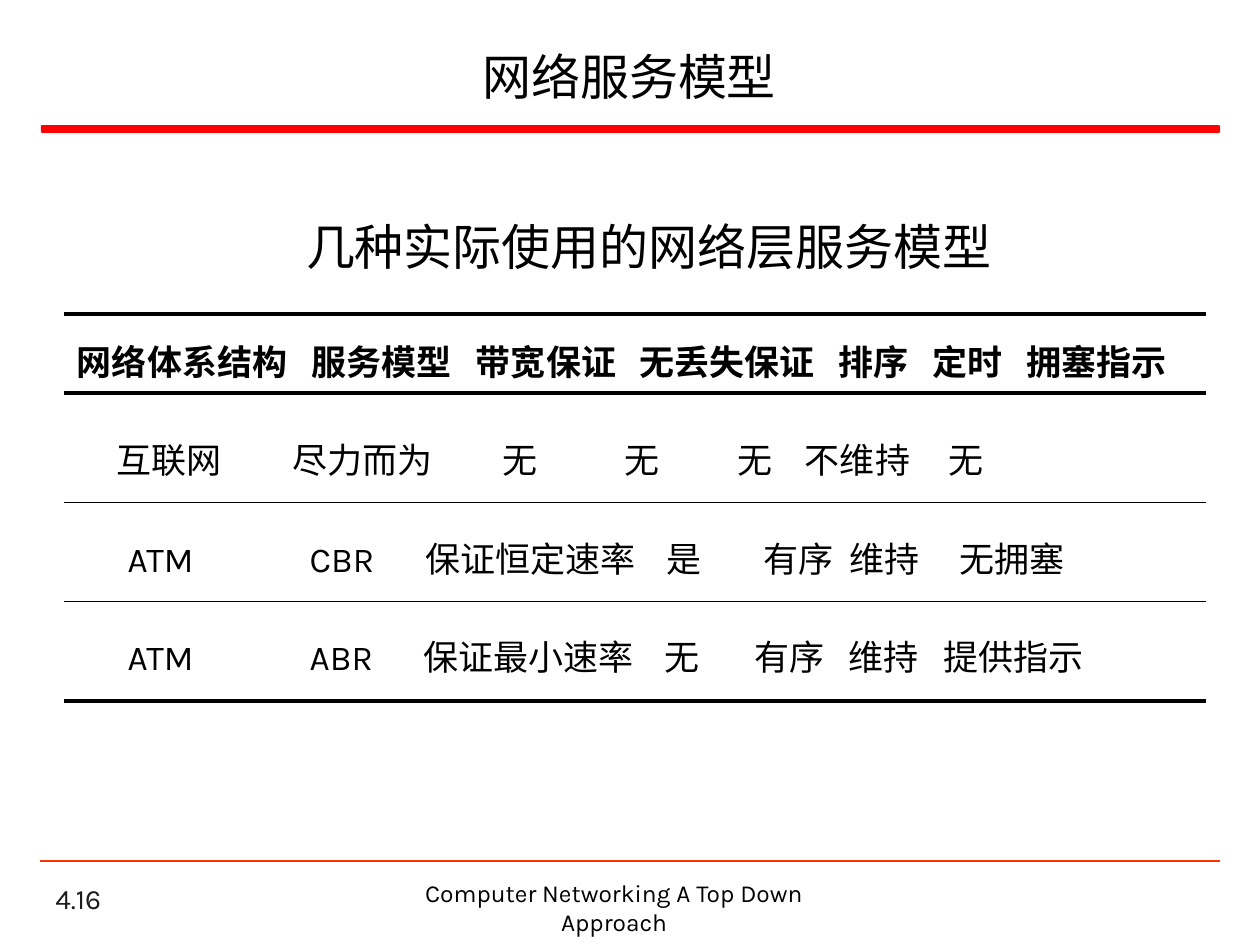
from lxml import etree
from pptx import Presentation
from pptx.dml.color import RGBColor
from pptx.enum import shapes, text
from pptx.oxml.ns import qn
from pptx.util import Pt

# Content
TITLE = "网络服务模型"
LEAD = "几种实际使用的网络层服务模型"
NUM = "4.16"
FOOT = "Computer Networking A Top Down Approach"
# Each row: its words, and where each word starts (points from the text edge)
ROWS = [
    (["网络体系结构", "服务模型", "带宽保证", "无丢失保证", "排序", "定时", "拥塞指示"],
     [0, 134, 228, 321.5, 435, 489, 542.5]),
    (["互联网", "尽力而为", "无", "无", "无", "不维持", "无"],
     [22.5, 123, 243, 313, 377.5, 416, 498]),
    (["ATM", "CBR", "保证恒定速率", "是", "有序", "维持", "无拥塞"],
     [29, 133, 199, 337, 392.5, 441.5, 504.5]),
    (["ATM", "ABR", "保证最小速率", "无", "有序", "维持", "提供指示"],
     [29, 133, 198, 336, 387, 441, 495]),
]
RULES = [(179.3, 2.25), (224.6, 2.25), (287.3, 0.75), (343.6, 0.75), (400.4, 2.25)]
HUES = {"ink": "000000", "num": "1C1C1C", "bar": "FF0000", "foot": "FF3300"}
FONT = "Karla"
MID = text.PP_ALIGN.CENTER


def hue(name):
    return RGBColor.from_string(HUES[name])


def style(par, size, color="ink", bold=False, align=None):
    par.alignment = align
    for run in par.runs:
        run.font.name, run.font.size, run.font.bold = FONT, Pt(size), bold
        run.font.color.rgb = hue(color)


def place(shape, left, top, width, height):
    shape.left, shape.top = Pt(left), Pt(top)
    shape.width, shape.height = Pt(width), Pt(height)


def add_box(*at):
    frame = slide.shapes.add_textbox(*map(Pt, at)).text_frame
    frame.word_wrap = True
    return frame


def add_rule(left, right, y, width, color="ink"):
    line = slide.shapes.add_connector(
        shapes.MSO_CONNECTOR.STRAIGHT, Pt(left), Pt(y), Pt(right), Pt(y))
    line.line.width = Pt(width)
    line.line.color.rgb = hue(color)
    etree.SubElement(line._element.spPr, qn("a:effectLst"))


def set_tabs(par, stops):
    tabs = etree.SubElement(par._p.get_or_add_pPr(), qn("a:tabLst"))
    for stop in stops:
        etree.SubElement(tabs, qn("a:tab"), pos=str(Pt(stop)), algn="l")


deck = Presentation()
deck.slide_width, deck.slide_height = Pt(720), Pt(540)
slide = deck.slides.add_slide(deck.slide_layouts[5])

# Title and red bar
head = slide.shapes.title
place(head, 26.5, 18, 666, 50.4)
head.text_frame.text = TITLE
head.text_frame.vertical_anchor = text.MSO_ANCHOR.MIDDLE
style(head.text_frame.paragraphs[0], 28, align=MID)

bar = slide.shapes.add_shape(
    shapes.MSO_SHAPE.RECTANGLE, Pt(23.8), Pt(72), Pt(672.8), Pt(3.6))
bar.shadow.inherit = False
bar.fill.solid()
bar.fill.fore_color.rgb = bar.line.color.rgb = hue("bar")
bar.line.width = Pt(1)

# Lead line and tabbed rows
body = add_box(36.9, 120.2, 667.4, 368.6)
body.text = LEAD
style(body.paragraphs[0], 28, align=MID)
for i, (words, stops) in enumerate(ROWS):
    par = body.add_paragraph()
    par.space_before = Pt(32.2 if i else 37.2)
    set_tabs(par, [s for s in stops if s])
    par.text = ("\t" if stops[0] else "") + "\t".join(words)
    style(par, 20, bold=i == 0)

for y, width in RULES:
    add_rule(36.7, 689, y, width)

# Footer
add_rule(23, 697, 491.9, 1.5, "foot")
page = add_box(24.5, 502.9, 149.8, 23.8)
page.vertical_anchor = text.MSO_ANCHOR.BOTTOM
page.text = NUM
style(page.paragraphs[0], 16, "num")
foot = add_box(204, 498.2, 293.8, 24.5)
foot.text = FOOT
style(foot.paragraphs[0], 14, align=MID)

deck.save("out.pptx")
